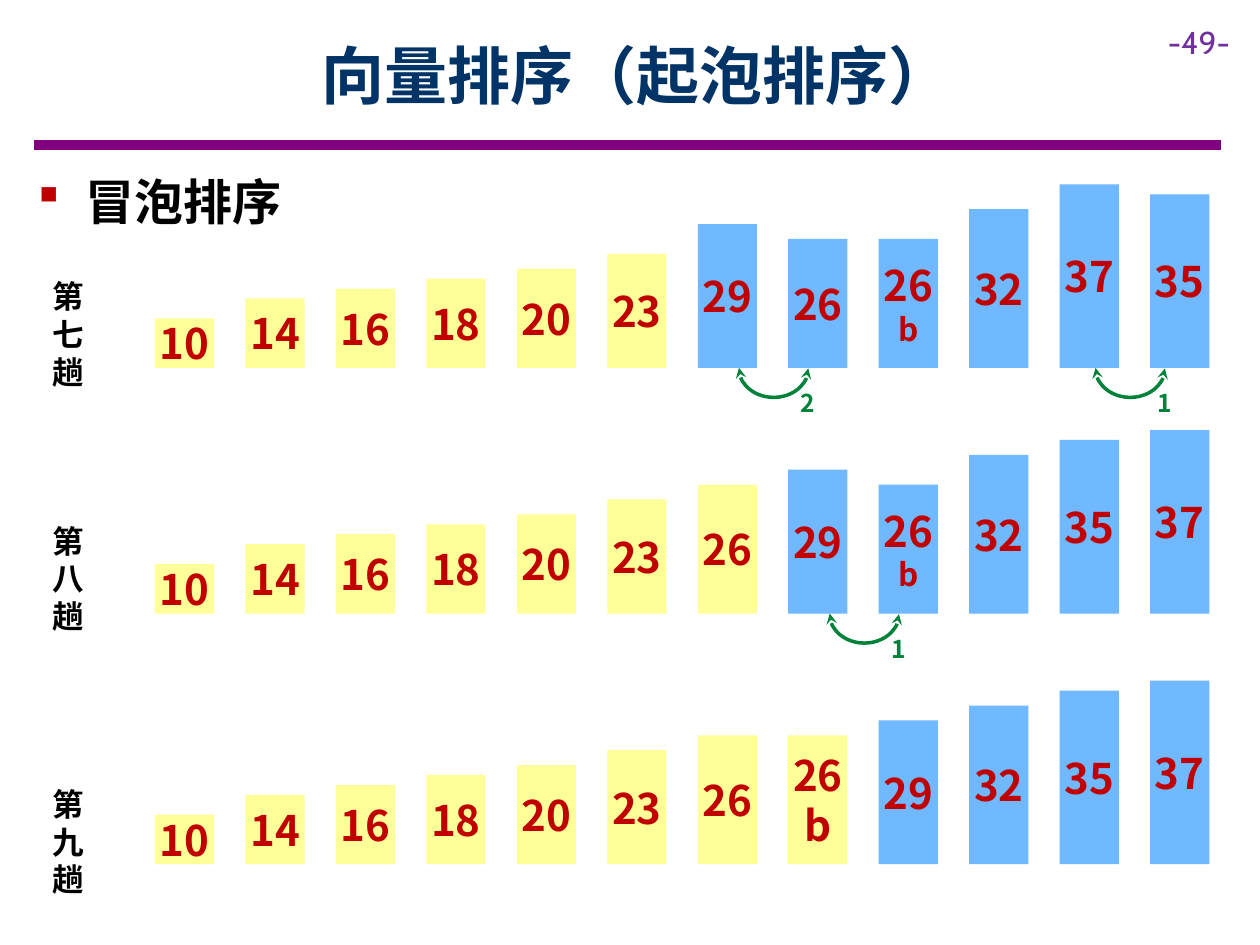
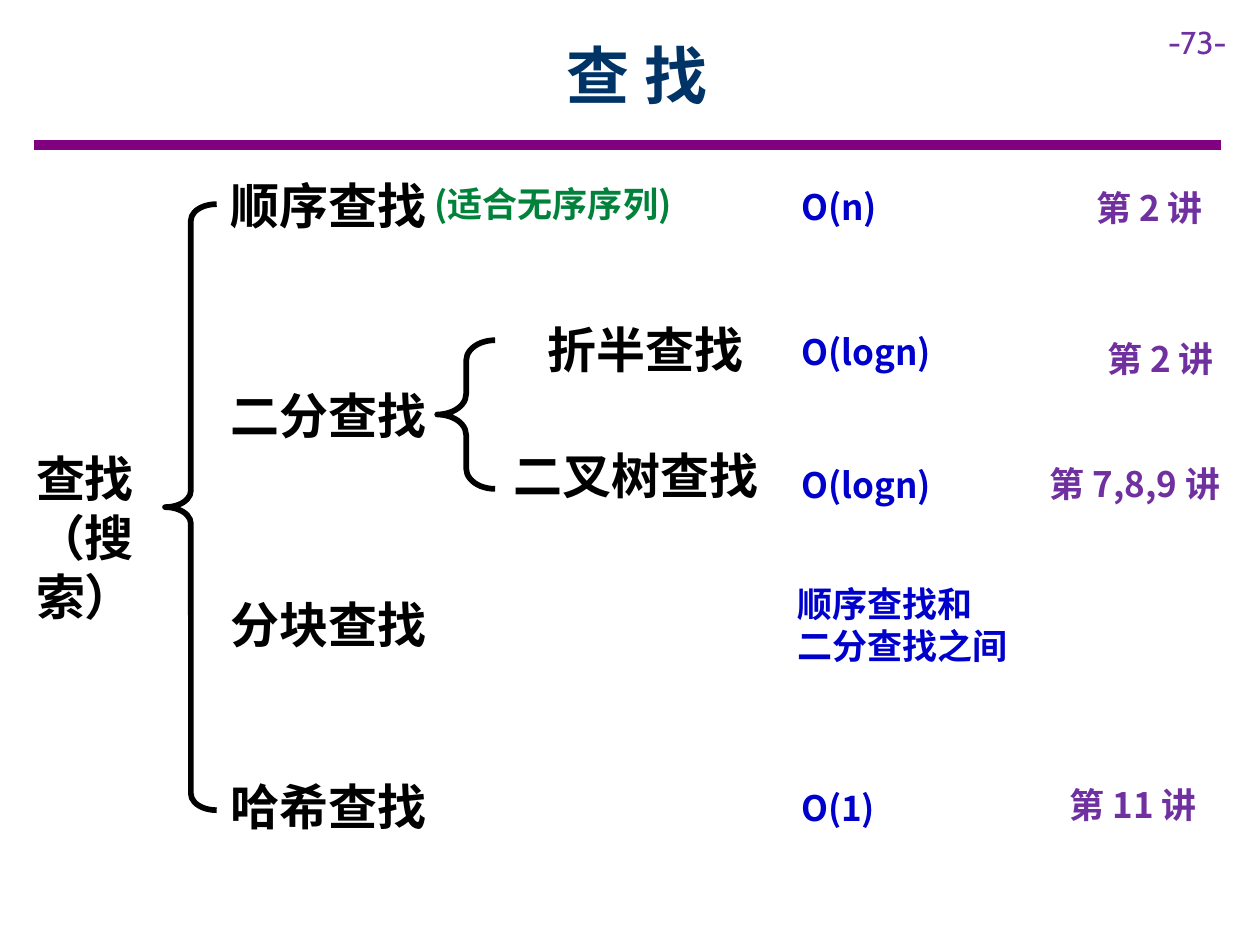
from lxml.etree import SubElement
from pptx import Presentation
from pptx.dml.color import RGBColor
from pptx.enum.shapes import MSO_CONNECTOR, MSO_SHAPE
from pptx.enum.text import MSO_ANCHOR, PP_ALIGN
from pptx.oxml.ns import qn
from pptx.util import Inches, Pt

COLORS = {
    "title": "003366", "rule": "800080", "page": "7030A0", "black": "000000",
    "white": "FFFFFF", "red": "C00000", "done": "FFFF99", "open": "70B8FF",
    "green": "00823B", "cost": "0000CC",
}
FONT = "Noto Sans CJK SC"
PITCH = 0.718
FIRST = 1.23
UNIT = 1 / 25.4

PASSES = [
    ("第七趟", 2.15, 2.92, 6, 18, "10 14 16 18 20 23 29 26 26b 32 37 35"),
    ("第八趟", 4.09, 4.87, 7, 18, "10 14 16 18 20 23 26 29 26b 32 35 37"),
    ("第九趟", 6.18, 6.86, 8, 24, "10 14 16 18 20 23 26 26b 29 32 35 37"),
]
SWAPS = [("1", 8.74, 2.92), ("2", 5.91, 2.92), ("1", 6.63, 4.87)]

METHODS = [
    ("顺序查找", 1.73, 1.34, 1.98), ("二分查找", 1.73, 3.01, 2.09),
    ("分块查找", 1.73, 4.67, 2.09), ("哈希查找", 1.73, 6.11, 2.52),
    ("折半查找", 4.25, 2.49, 1.87), ("二叉树查找", 3.98, 3.49, 2.16),
]
COSTS = [
    ("O(n)", 6.26, 1.42, 1.43), ("O(logn)", 6.26, 2.57, 1.43),
    ("O(logn)", 6.26, 3.63, 1.43), ("O(1)", 6.26, 6.19, 1.43),
    ("顺序查找和\n二分查找之间", 6.23, 4.57, 1.89),
]
TALKS = [
    ("第 2 讲", 8.6, 1.43, 1.42), ("第 2 讲", 8.69, 2.63, 1.1),
    ("第 7,8,9 讲", 8.23, 3.62, 1.65), ("第 11 讲", 8.39, 6.17, 1.41),
]


def color(key):
    return RGBColor.from_string(COLORS[key])


def box(left, top, width, height):
    return [Inches(n) for n in (left, top, width, height)]


def write(frame, text, size=28, ink="black", bold=True, font=FONT,
          align=None, anchor=MSO_ANCHOR.TOP, wrap=True, last=None, after=None):
    frame.word_wrap = wrap
    frame.vertical_anchor = anchor
    lines = text.split("\n")
    for i, line in enumerate(lines):
        para = frame.add_paragraph() if i else frame.paragraphs[0]
        para.alignment = align
        if after:
            para.space_after = Pt(after)
        run = para.add_run()
        run.text = line
        run.font.size = Pt(last if last and i == len(lines) - 1 else size)
        run.font.bold = bold
        run.font.color.rgb = color(ink)
        run.font.name = font
        SubElement(run.font._element, qn("a:ea"), typeface=font)


def label(slide, text, left, top, width, height, **style):
    shape = slide.shapes.add_textbox(*box(left, top, width, height))
    write(shape.text_frame, text, **style)
    return shape


def column(slide, items, height, **style):
    for text, left, top, width in items:
        label(slide, text, left, top, width, height, **style)


def form(slide, kind, place, fill=None, line=None, width=1):
    shape = slide.shapes.add_shape(kind, *box(*place))
    shape.shadow.inherit = False
    if fill:
        shape.fill.solid()
        shape.fill.fore_color.rgb = color(fill)
    else:
        shape.fill.background()
    if line:
        shape.line.color.rgb = color(line)
        shape.line.width = Pt(width)
    else:
        shape.line.fill.background()
    return shape


def start(deck, title, page):
    slide = deck.slides.add_slide(deck.slide_layouts[5])
    rule = slide.shapes.add_connector(
        MSO_CONNECTOR.STRAIGHT, *box(0.27, 1.15, 9.69, 1.15))
    rule.line.color.rgb = color("rule")
    rule.line.width = Pt(6)
    SubElement(rule._element.spPr, qn("a:effectLst"))
    label(slide, page, 9.17, 0.13, 0.83, 0.4, size=18, ink="page",
          bold=False, font="Cabin")
    head = slide.shapes.title
    head.left, head.top, head.width, head.height = box(0.9, 0.09, 8.31, 1)
    write(head.text_frame, title, size=36, ink="title",
          align=PP_ALIGN.CENTER, anchor=MSO_ANCHOR.MIDDLE)
    return slide


def bullet(shape):
    props = shape.text_frame.paragraphs[0]._p.get_or_add_pPr()
    props.set("marL", str(Inches(0.38)))
    props.set("indent", str(-Inches(0.38)))
    tint = SubElement(props, qn("a:buClr"))
    SubElement(tint, qn("a:srgbClr"), val=COLORS["red"])
    SubElement(props, qn("a:buFont"), typeface="Wingdings")
    SubElement(props, qn("a:buChar"), char="§")


def bar(slide, text, left, base, fill, last):
    tall = int(text[:2]) * UNIT
    shape = form(slide, MSO_SHAPE.RECTANGLE, (left, base - tall, 0.47, tall), fill)
    frame = shape.text_frame
    frame.margin_left = frame.margin_right = 0
    frame.margin_top = frame.margin_bottom = Inches(0.1)
    write(frame, text.replace("b", "\nb"), size=24, ink="red", last=last if "b" in text else None,
          align=PP_ALIGN.CENTER, anchor=MSO_ANCHOR.MIDDLE)


def swap(slide, text, left, base):
    arc = form(slide, MSO_SHAPE.ARC, (left, base - 0.27, 0.46, 0.55),
               line="green", width=2)
    arc.rotation = 90
    arc.adjustments[0] = 162
    arc.adjustments[1] = 54.597
    stroke = arc.line._get_or_add_ln()
    for end in ("a:headEnd", "a:tailEnd"):
        SubElement(stroke, qn(end), type="stealth")
    label(slide, text, left + 0.34, base + 0.11, 0.32, 0.34, size=14,
          ink="green", align=PP_ALIGN.CENTER, wrap=False)


def brace(slide, place, bend):
    shape = form(slide, MSO_SHAPE.LEFT_BRACE, place, "white", "black", 3.25)
    shape.adjustments[0] = bend
    shape.adjustments[1] = 0.5


def sorting(deck):
    slide = start(deck, "向量排序（起泡排序）", "-49-")
    bullet(label(slide, "冒泡排序", 0.2, 1.31, 9.57, 0.57, after=6))
    for name, top, base, done, last, values in PASSES:
        label(slide, name, 0.32, top, 0.52, 1.01, size=18, after=6)
        for i, value in enumerate(values.split()):
            fill = "done" if i < done else "open"
            bar(slide, value, FIRST + i * PITCH, base, fill, last)
    for item in SWAPS:
        swap(slide, *item)


def search(deck):
    slide = start(deck, "查 找", "-73-")
    label(slide, "查找\n（搜索）", -0.19, 3.51, 1.73, 1.04,
          align=PP_ALIGN.CENTER)
    brace(slide, (1.31, 1.62, 0.41, 4.81), 0.318)
    brace(slide, (3.47, 2.7, 0.46, 1.18), 0.354)
    column(slide, METHODS, 0.57)
    column(slide, COSTS, 0.44, size=20, ink="cost")
    column(slide, TALKS, 0.44, size=20, ink="page")
    label(slide, "(适合无序序列)", 3.35, 1.4, 2.58, 0.44, size=20, ink="green")


def main():
    deck = Presentation()
    deck.slide_width, deck.slide_height = Inches(10), Inches(7.5)
    sorting(deck)
    search(deck)
    deck.save("out.pptx")


if __name__ == "__main__":
    main()
